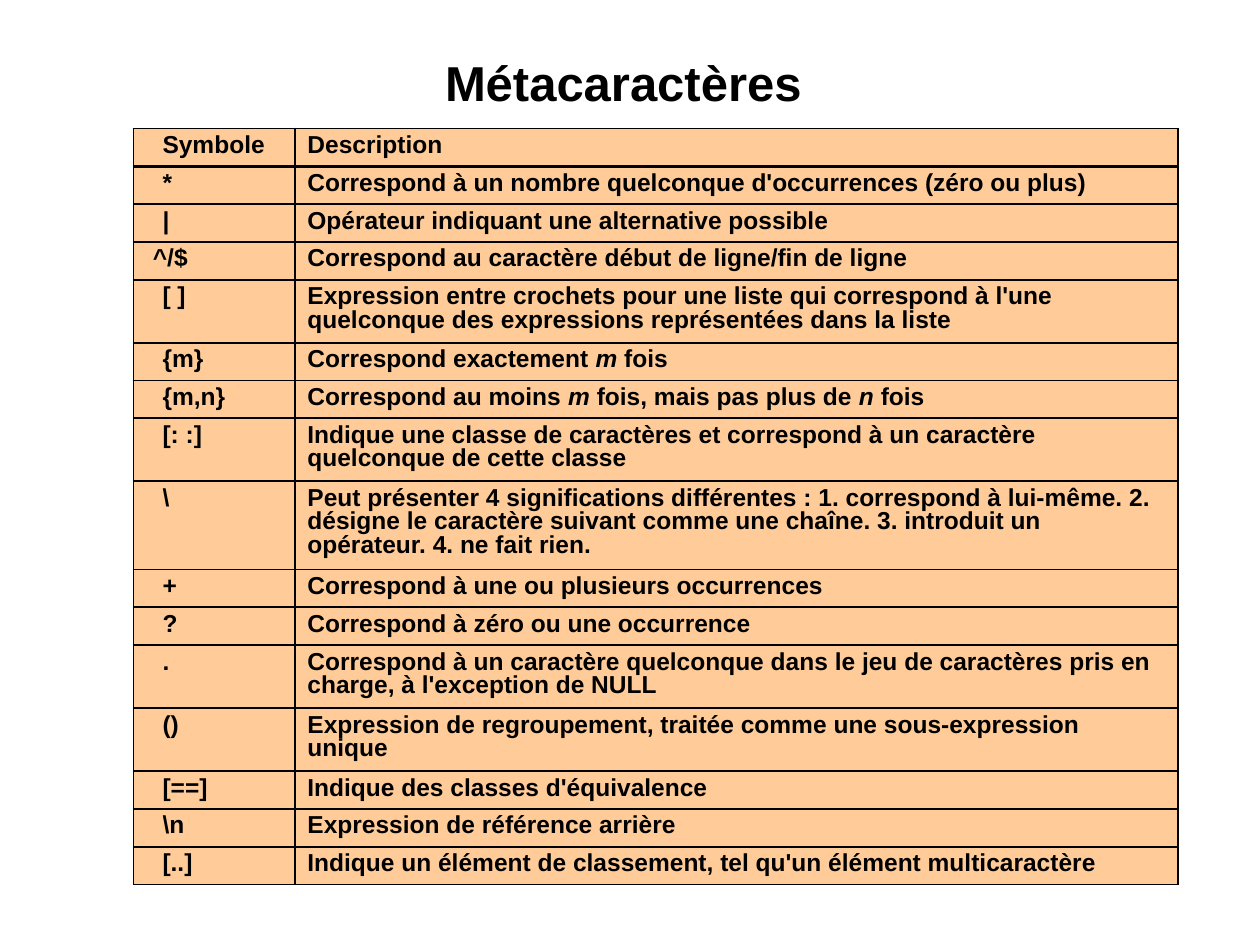
from typing import NamedTuple

from lxml.etree import SubElement
from pptx import Presentation
from pptx.dml.color import RGBColor
from pptx.enum.text import MSO_ANCHOR, PP_ALIGN
from pptx.oxml.ns import qn
from pptx.slide import Slide
from pptx.table import _Cell
from pptx.text.text import _Paragraph
from pptx.util import Inches, Pt

BLACK = RGBColor(0x00, 0x00, 0x00)
PEACH = RGBColor(0xFF, 0xCC, 0x99)
FONT = "Arial"
THIN, THICK = Pt(1.08), Pt(2.21)
COLUMN_WIDTHS = (1.28, 7.01)
LINE_HEIGHTS = {1: 0.3, 2: 0.5, 3: 0.7}


class Entry(NamedTuple):
    """A table row; every second part of the description is italic."""
    symbol: str
    description: tuple[str, ...]
    lines: int = 1
    indented: bool = True


ENTRIES = (
    Entry("Symbole", ("Description",)),
    Entry("*", ("Correspond à un nombre quelconque d'occurrences (zéro ou plus)",)),
    Entry("|", ("Opérateur indiquant une alternative possible",)),
    Entry(" ^/$", ("Correspond au caractère début de ligne/fin de ligne",), indented=False),
    Entry("[ ]", ("Expression entre crochets pour une liste qui correspond à l'une "
                  "quelconque des expressions représentées dans la liste",), 2),
    Entry("{m}", ("Correspond exactement ", "m", " fois")),
    Entry("{m,n}", ("Correspond au moins ", "m", " fois, mais pas plus de ", "n", " fois")),
    Entry("[: :]", ("Indique une classe de caractères et correspond à un caractère "
                    "quelconque de cette classe",), 2),
    Entry("\\", ("Peut présenter 4 significations différentes : 1. correspond à lui-même. "
                 "2. désigne le caractère suivant comme une chaîne. 3. introduit un "
                 "opérateur. 4. ne fait rien.",), 3),
    Entry("+", ("Correspond à une ou plusieurs occurrences",)),
    Entry("?", ("Correspond à zéro ou une occurrence",)),
    Entry(".", ("Correspond à un caractère quelconque dans le jeu de caractères pris en "
                "charge, à l'exception de NULL",), 2),
    Entry("()", ("Expression de regroupement, traitée comme une sous-expression unique",), 2),
    Entry("[==]", ("Indique des classes d'équivalence",)),
    Entry("\\n", ("Expression de référence arrière",)),
    Entry("[..]", ("Indique un élément de classement, tel qu'un élément multicaractère",)),
)


def add_run(paragraph: _Paragraph, text: str, size: int, italic: bool = False) -> None:
    run = paragraph.add_run()
    run.text = text
    run.font.name = FONT
    run.font.size = Pt(size)
    run.font.bold = True
    run.font.italic = italic
    run.font.color.rgb = BLACK


def set_borders(cell: _Cell, top: int, bottom: int) -> None:
    properties = cell._tc.get_or_add_tcPr()
    for side, width in (("L", THIN), ("R", THIN), ("T", top), ("B", bottom)):
        line = SubElement(properties, qn(f"a:ln{side}"), w=str(int(width)))
        fill = SubElement(line, qn("a:solidFill"))
        SubElement(fill, qn("a:srgbClr"), val=str(BLACK))


def fill_cell(cell: _Cell, parts: tuple[str, ...], row_index: int, indented: bool) -> None:
    set_borders(cell, THICK if row_index == 1 else THIN, THICK if row_index == 0 else THIN)
    cell.fill.solid()
    cell.fill.fore_color.rgb = PEACH
    cell.vertical_anchor = MSO_ANCHOR.TOP
    cell.margin_left = cell.margin_right = Inches(0.1)
    cell.margin_top = cell.margin_bottom = Inches(0.05)
    paragraph = cell.text_frame.paragraphs[0]
    paragraph.line_spacing = 0.85
    if indented:
        paragraph.level = 1
        properties = paragraph._p.get_or_add_pPr()
        properties.set("marL", str(int(Inches(0.13))))
        properties.set("indent", "0")
    for index, part in enumerate(parts):
        add_run(paragraph, part, 14, italic=index % 2 == 1)


def add_title(slide: Slide) -> None:
    title = slide.shapes.add_textbox(Inches(1), Inches(0.35), Inches(8), Inches(0.6))
    frame = title.text_frame
    frame.word_wrap = True
    frame.vertical_anchor = MSO_ANCHOR.MIDDLE
    frame.margin_left = frame.margin_right = Inches(0.01)
    frame.margin_top = frame.margin_bottom = Inches(0.01)
    paragraph = frame.paragraphs[0]
    paragraph.alignment = PP_ALIGN.CENTER
    add_run(paragraph, "Métacaractères ", 28)


def add_symbol_table(slide: Slide) -> None:
    heights = [LINE_HEIGHTS[entry.lines] for entry in ENTRIES]
    table = slide.shapes.add_table(
        len(ENTRIES), len(COLUMN_WIDTHS), Inches(1.06), Inches(1.02),
        Inches(sum(COLUMN_WIDTHS)), Inches(sum(heights))).table
    for column, width in zip(table.columns, COLUMN_WIDTHS):
        column.width = Inches(width)
    for index, (entry, height) in enumerate(zip(ENTRIES, heights)):
        table.rows[index].height = Inches(height)
        fill_cell(table.cell(index, 0), (entry.symbol,), index, entry.indented)
        fill_cell(table.cell(index, 1), entry.description, index, False)


def main() -> None:
    presentation = Presentation()
    presentation.slide_width = Inches(10)
    presentation.slide_height = Inches(7.5)
    slide = presentation.slides.add_slide(presentation.slide_layouts[6])
    add_title(slide)
    add_symbol_table(slide)
    presentation.save("out.pptx")


if __name__ == "__main__":
    main()
